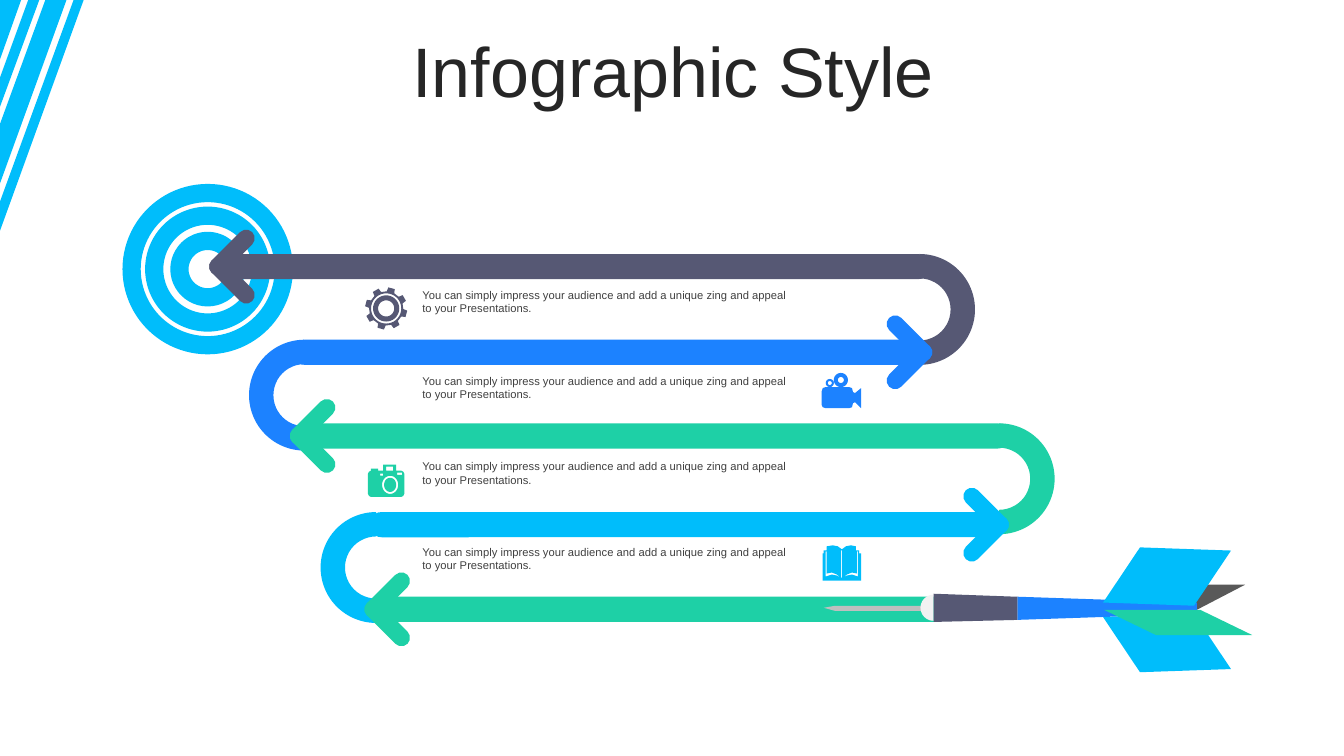
from dataclasses import dataclass
from math import cos, radians, sin

from pptx import Presentation
from pptx.dml.color import RGBColor
from pptx.enum.shapes import MSO_SHAPE as Preset
from pptx.enum.text import MSO_ANCHOR as Anchor, MSO_AUTO_SIZE as AutoSize, PP_ALIGN as Align
from pptx.oxml.ns import qn
from pptx.util import Emu, Inches, Pt


@dataclass(frozen=True)
class Theme:
    font: str = "Arial"
    title_size: int = 50
    body_size: int = 8
    ring_width: int = 13
    title: str = "262626"
    body: str = "404040"
    white: str = "FFFFFF"
    cyan: str = "00BDFB"
    slate: str = "565874"
    blue: str = "1C82FF"
    green: str = "1ED0A6"
    grey: str = "595959"
    silver: str = "BFBFBF"
    pale: str = "F2F2F2"


theme = Theme()
COLUMNS, ROWS = 13.33, 7.5
TITLE = "Infographic Style"
MESSAGES = ["You can simply impress your audience and add a unique zing and appeal to your Presentations."] * 4
TEXT_LEFT, TEXT_TOP, TEXT_PITCH, TEXT_WIDTH, TEXT_HEIGHT = 4.09, 2.81, 0.85, 3.89, 0.37

STRIPES = [
    [(0.73, 0), (0.83, 0), (0, 2.29), (0, 2)],
    [(0.39, 0), (0, 1.06), (0, 0.77), (0.28, 0)],
    [(0.66, 0), (0, 1.82), (0, 1.23), (0.45, 0)],
    [(0, 0), (0.21, 0), (0, 0.59)],
]
TARGET_CENTRE, RING_DIAMETERS = (2.06, 2.67), (1.51, 1.06, 0.56)

BAND, BEND, BARB_WIDTH, BARB_LENGTH, BARB_SHIFT = 0.25, 1.1, 0.17, 0.57, 0.14
# colour, bar left, bar right, bar top, head centre, bend left, bend rotation
PATHWAYS = [
    (theme.slate, 2.14, 9.23, 2.52, 2.3, 8.57, 90),
    (theme.blue, 2.9, 9.2, 3.37, 9.02, 2.47, 270),
    (theme.green, 2.93, 10.02, 4.2, 3.1, 9.36, 90),
    (theme.cyan, 3.66, 9.96, 5.08, 9.78, 3.18, 270),
    (theme.green, 3.8, 9.29, 5.92, 3.84, None, 0),
]

NEEDLE = [(8.17, 6.03), (8.28, 6.01), (9.18, 6.01), (9.18, 6.06), (8.28, 6.06)]
SHAFT = [(10.09, 5.92), (11.87, 5.98), (11.87, 6.09), (10.09, 6.15)]
GRIP = [(9.26, 5.89), (10.09, 5.92), (10.09, 6.15), (9.26, 6.17)]
TAIL_VANE = (theme.grey, (10.94, 5.8, 1.41, 0.25), 1.92, 0, False)
FRONT_VANES = [
    (theme.cyan, (10.95, 6.1, 1.25, 0.56), 0.62, 358, True),
    (theme.cyan, (10.95, 5.44, 1.25, 0.56), 0.62, 2, False),
    (theme.green, (10.95, 6.05, 1.47, 0.25), 2.06, 0, True),
]

CAMERA_BODY = [
    (3.65, 4.7), (3.66, 4.68), (3.68, 4.67), (3.68, 4.65), (3.75, 4.65), (3.75, 4.67), (3.8, 4.67),
    (3.8, 4.61), (3.93, 4.61), (3.93, 4.67), (3.98, 4.67), (4, 4.68), (4.01, 4.7), (4.01, 4.9),
    (4, 4.92), (3.98, 4.93), (3.68, 4.93), (3.66, 4.92), (3.65, 4.9),
]
VIDEO_BODY = [
    (8.15, 3.88), (8.16, 3.85), (8.19, 3.84), (8.42, 3.84), (8.45, 3.85), (8.46, 3.89), (8.48, 3.9),
    (8.54, 3.85), (8.54, 4.05), (8.48, 3.99), (8.46, 4), (8.45, 4.04), (8.42, 4.05), (8.19, 4.05),
    (8.16, 4.04), (8.15, 4.02),
]
BOOK_COVER = [
    (8.16, 5.76), (8.16, 5.49), (8.17, 5.49), (8.17, 5.46), (8.2, 5.46), (8.2, 5.42), (8.26, 5.41),
    (8.31, 5.42), (8.35, 5.45), (8.39, 5.42), (8.44, 5.41), (8.49, 5.42), (8.49, 5.46), (8.52, 5.46),
    (8.52, 5.49), (8.54, 5.49), (8.54, 5.76),
]
BOOK_PAGE = [
    (8.2, 5.47), (8.19, 5.47), (8.19, 5.72), (8.25, 5.7), (8.3, 5.71), (8.34, 5.73),
    (8.3, 5.7), (8.25, 5.68), (8.2, 5.69),
]
BOOK_FOLD = 8.35


def polar(centre, radius, angle):
    return centre[0] + radius * cos(radians(angle)), centre[1] + radius * sin(radians(angle))


def oval(x, y, across, down):
    return [(x + across * cos(radians(a)), y + down * sin(radians(a))) for a in range(0, 360, 10)]


def rectangle(x, y, width, height):
    return [(x, y), (x + width, y), (x + width, y + height), (x, y + height)]


def gear(centre):
    profile = [(-13, 0.17), (-9, 0.21), (9, 0.21), (13, 0.17)]
    teeth = [polar(centre, radius, 15 + 45 * tooth + turn) for tooth in range(8) for turn, radius in profile]
    return [teeth] + [oval(*centre, radius, radius) for radius in (0.15, 0.13, 0.08)]


ICONS = [
    (theme.slate, gear((3.83, 3.06))),
    (theme.green, [CAMERA_BODY, oval(3.87, 4.81, 0.08, 0.09), oval(3.87, 4.81, 0.06, 0.07),
                   rectangle(3.77, 4.7, 0.03, 0.02), rectangle(3.94, 4.69, 0.05, 0.02),
                   rectangle(3.83, 4.63, 0.07, 0.04)]),
    (theme.blue, [VIDEO_BODY, oval(8.23, 3.8, 0.04, 0.04), oval(8.23, 3.8, 0.02, 0.02),
                  oval(8.34, 3.77, 0.07, 0.07), oval(8.34, 3.77, 0.03, 0.03)]),
    (theme.cyan, [BOOK_COVER, BOOK_PAGE, [(2 * BOOK_FOLD - x, y) for x, y in BOOK_PAGE],
                  rectangle(8.34, 5.46, 0.01, 0.27)]),
]

deck = Presentation()
deck.slide_width, deck.slide_height = Inches(COLUMNS), Inches(ROWS)
page = deck.slides.add_slide(deck.slide_layouts[5])


def grid(*lengths):
    return [Emu(round(length * deck.slide_width / COLUMNS)) for length in lengths]


def paint(shape, colour):
    shape.shadow.inherit = False
    shape.fill.solid()
    shape.fill.fore_color.rgb = RGBColor.from_string(colour)
    shape.line.fill.background()
    return shape


def add_preset(kind, area, colour, adjustments=(), rotation=0):
    shape = paint(page.shapes.add_shape(kind, *grid(*area)), colour)
    for index, value in enumerate(adjustments):
        shape.adjustments[index] = value
    shape.rotation = rotation
    return shape


def add_outline(contours, colour):
    builder = page.shapes.build_freeform(*grid(*contours[0][0]))
    for index, contour in enumerate(contours):
        if index:
            builder.move_to(*grid(*contour[0]))
        builder.add_line_segments([grid(*point) for point in contour[1:]], close=True)
    return paint(builder.convert_to_shape(), colour)


def add_vane(colour, area, slant, rotation, mirrored):
    vane = add_preset(Preset.PARALLELOGRAM, area, colour, [slant], rotation)
    if mirrored:
        vane.element.spPr.find(qn("a:xfrm")).set("flipH", "1")


def write(box, text, size, colour):
    frame = box.text_frame
    frame.word_wrap, frame.auto_size = True, AutoSize.NONE
    para = frame.paragraphs[0]
    span = para.add_run()
    span.text = text
    span.font.name, span.font.size = theme.font, Pt(size)
    span.font.color.rgb = RGBColor.from_string(colour)
    return para


def add_pathway(colour, left, right, top, head, bend, rotation):
    if bend is not None:
        add_preset(Preset.BLOCK_ARC, (bend, top, BEND, BEND), colour, [108, 0, 0.22], rotation)
    roundness = 0 if bend is None else 0.5
    add_preset(Preset.ROUNDED_RECTANGLE, (left, top, right - left, BAND), colour, [roundness])
    points_left = head < (left + right) / 2
    for side in (-1, 1):
        middle = top + BAND / 2 + side * BARB_SHIFT
        area = (head - BARB_WIDTH / 2, middle - BARB_LENGTH / 2, BARB_WIDTH, BARB_LENGTH)
        turn = 45 if (side < 0) == points_left else 135
        add_preset(Preset.ROUNDED_RECTANGLE, area, colour, [0.5], turn)


add_outline(STRIPES, theme.cyan)

title = page.shapes.title
title.left, title.top, title.width, title.height = grid(0.35, 0.37, 12.66, 0.79)
heading = write(title, TITLE, theme.title_size, theme.title)
heading.alignment, heading.line_spacing = Align.CENTER, 0.8
title.text_frame.vertical_anchor = Anchor.MIDDLE

for diameter in RING_DIAMETERS:
    corner = [centre - diameter / 2 for centre in TARGET_CENTRE]
    ring = add_preset(Preset.OVAL, (*corner, diameter, diameter), theme.white)
    ring.line.color.rgb = RGBColor.from_string(theme.cyan)
    ring.line.width = Pt(theme.ring_width)

for colour, contours in ICONS:
    add_outline(contours, colour)
for pathway in PATHWAYS:
    add_pathway(*pathway)

add_vane(*TAIL_VANE)
add_outline([NEEDLE], theme.silver)
add_outline([SHAFT], theme.blue)
add_preset(Preset.CHORD, (9.13, 5.9, 0.26, 0.26), theme.pale, [53.91, 162])
add_outline([GRIP], theme.slate)
for vane in FRONT_VANES:
    add_vane(*vane)

for row, message in enumerate(MESSAGES):
    area = (TEXT_LEFT, TEXT_TOP + row * TEXT_PITCH, TEXT_WIDTH, TEXT_HEIGHT)
    write(page.shapes.add_textbox(*grid(*area)), message, theme.body_size, theme.body)

deck.save("out.pptx")
